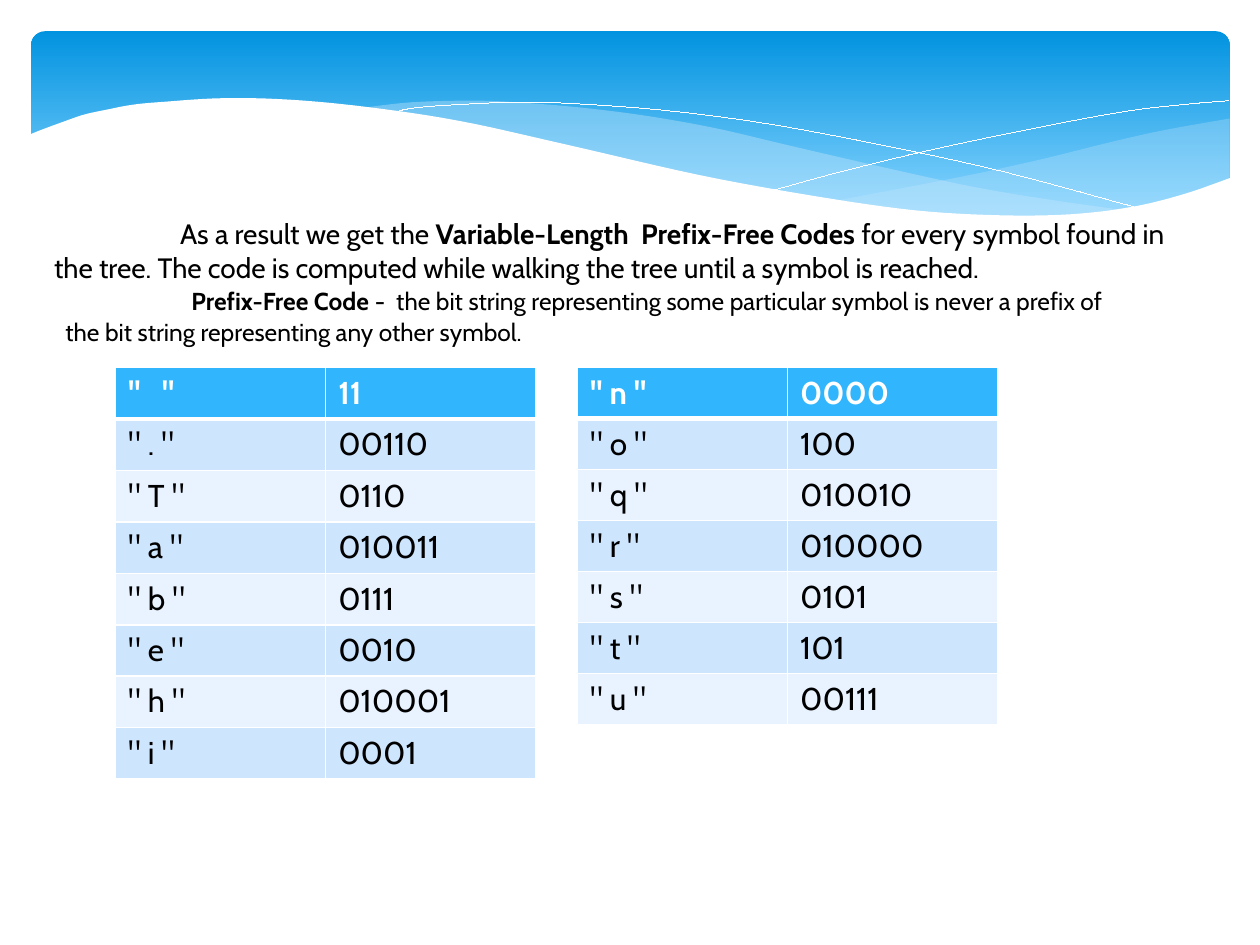
"""Build a slide on prefix-free codes with a wave banner and two code tables."""
from lxml import etree
from pptx import Presentation
from pptx.dml.color import RGBColor
from pptx.enum.shapes import MSO_SHAPE
from pptx.oxml import parse_xml
from pptx.oxml.ns import nsdecls, qn
from pptx.util import Cm, Pt

ROUND = MSO_SHAPE.ROUNDED_RECTANGLE
FONT = "Cabin"
INK = {"deep": "0293E0", "sky": "83D3FE", "mist": "C6E7FC", "white": "FFFFFF",
       "black": "000000", "head": "31B6FD", "odd": "CEE5FE", "even": "E8F3FF"}

INTRO = [
    ("\tAs a result we get the ", {}),
    ("Variable-Length  Prefix-Free Codes ", {"bold": True}),
    ("for every symbol found in the tree. The code is computed while walking "
     "the tree until a symbol is reached.", {}),
]
RULE = [
    ("\t", {"size": 18}),
    ("Prefix-Free Code ", {"size": 14, "bold": True}),
    ("-  the bit string representing some particular symbol is never a prefix "
     "of the bit string representing any other symbol.", {"size": 14}),
]
NOTES = [(0.84, 4.24, 23.06, 1.63, INTRO), (1.07, 5.51, 22.02, 1.63, RULE)]
TAB = 2.54

LEFT = [("  ", "11"), (".", "00110"), ("T", "0110"), ("a", "010011"),
        ("b", "0111"), ("e", "0010"), ("h", "010001"), ("i", "0001")]
RIGHT = [("n", "0000"), ("o", "100"), ("q", "010010"), ("r", "010000"),
         ("s", "0101"), ("t", "101"), ("u", "00111")]
TABLES = [(2.33, 8.3, LEFT), (11.64, 7.2, RIGHT)]
TOP, WIDE = 7.41, 8.47

BACK = [
    [(24.79, 2.39), (23.39, 2.64), (22.25, 2.9), (21.13, 3.18), (19.79, 3.48),
     (18.52, 3.73), (16.79, 4.06)],
    [(16.79, 4.06), (18.26, 4.24), (19.53, 4.34), (20.68, 4.37), (21.69, 4.34),
     (22.58, 4.24), (23.39, 4.06), (24.1, 3.86), (24.79, 3.58)],
]
FRONT = [
    [(22.68, 4.24), (21.26, 4.04), (19.69, 3.78), (17.93, 3.4), (15.98, 2.95),
     (14.45, 2.59), (13.06, 2.34), (11.81, 2.18), (10.67, 2.08), (9.65, 2.03),
     (8.33, 2.06), (7.26, 2.18)],
    [(7.26, 2.18), (8.69, 2.39), (10.26, 2.69), (12.47, 3.2), (14.38, 3.63),
     (16.1, 3.96), (17.65, 4.19), (19.0, 4.32), (20.22, 4.39), (21.29, 4.37),
     (22.68, 4.24)],
]
FALL = [[(7.85, 2.29), (8.33, 2.18), (9.22, 2.11), (10.57, 2.06), (11.91, 2.11),
         (13.54, 2.24), (15.44, 2.49), (17.65, 2.9), (20.19, 3.45), (23.04, 4.22)]]
RISE = [[(15.57, 3.84), (17.07, 3.43), (19.0, 2.97), (21.23, 2.51),
         (22.73, 2.24), (23.83, 2.11), (24.77, 2.03)]]
HILL = [
    [(24.82, 3.58), (23.88, 3.91), (22.83, 4.17), (21.59, 4.32), (20.14, 4.34),
     (18.44, 4.24), (16.46, 3.96), (14.1, 3.53), (11.35, 2.9), (9.27, 2.44),
     (7.42, 2.16), (5.84, 2.01), (4.5, 1.98), (3.35, 2.05), (2.69, 2.11),
     (2.16, 2.21), (1.7, 2.31), (1.32, 2.44), (0.91, 2.59), (0.58, 2.72)],
    [(0.58, 5.69), (24.82, 5.69)],
]
WAVES = [
    (BACK, {"fill": "mist", "alpha": 29}),
    (FRONT, {"fill": "mist", "alpha": 40}),
    (FALL, {"line": "white"}),
    (RISE, {"line": "white"}),
    (HILL, {"fill": "white"}),
]


def hue(name):
    return RGBColor.from_string(INK[name])


def write(para, text, size=16, bold=False, color="black"):
    run = para.add_run()
    run.text = text
    font = run.font
    font.name, font.size, font.bold = FONT, Pt(size), bold
    font.color.rgb = hue(color)


def smooth(pts, steps=6):
    if len(pts) == 2:
        return pts
    ends = [pts[0], *pts, pts[-1]]
    out = []
    for a, b, c, d in zip(ends, ends[1:], ends[2:], ends[3:]):
        for i in range(steps):
            t = i / steps
            out.append(tuple(
                q + t * (r - p + t * (2*p - 5*q + 4*r - s + t * (3*q - p - 3*r + s))) / 2
                for p, q, r, s in zip(a, b, c, d)))
    return out + [pts[-1]]


def wave(shapes, curves, fill=None, alpha=None, line=None):
    pts = [(Cm(x), Cm(y)) for part in curves for x, y in smooth(part)]
    path = shapes.build_freeform(*pts[0])
    path.add_line_segments(pts[1:], close=bool(fill))
    form = path.convert_to_shape()
    form.shadow.inherit = False
    if fill:
        form.fill.solid()
        form.fill.fore_color.rgb = hue(fill)
        form.line.fill.background()
    else:
        form.fill.background()
        form.line.color.rgb = hue(line)
        form.line.width = Pt(0.01)
    if alpha:
        tone = form.fill._xPr.find(".//" + qn("a:srgbClr"))
        etree.SubElement(tone, qn("a:alpha")).set("val", str(alpha * 1000))


def banner(shapes):
    box = shapes.add_shape(ROUND, Cm(0.63), Cm(0.63), Cm(24.16), Cm(3.96))
    box.adjustments[0] = 0.07
    box.shadow.inherit = False
    box.line.fill.background()
    box.fill.gradient()
    box.fill.gradient_angle = 270
    for stop, tone, spot in zip(box.fill.gradient_stops, ("deep", "sky"), (0, 0.9)):
        stop.color.rgb = hue(tone)
        stop.position = spot


def note(shapes, x, y, w, h, runs):
    box = shapes.add_textbox(Cm(x), Cm(y), Cm(w), Cm(h))
    box.text_frame.word_wrap = True
    para = box.text_frame.paragraphs[0]
    para._p.get_or_add_pPr().append(parse_xml(
        f'<a:tabLst {nsdecls("a")}><a:tab pos="{Cm(TAB)}" algn="l"/></a:tabLst>'))
    for text, look in runs:
        write(para, text, **look)


def edge(cell, row):
    wide = {"T": 3 if row == 1 else 1, "B": 3 if row == 0 else 1}
    props = cell._tc.get_or_add_tcPr()
    for i, side in enumerate("LRTB"):
        props.insert(i, parse_xml(
            f'<a:ln{side} {nsdecls("a")} w="{Pt(wide.get(side, 1))}"><a:solidFill>'
            f'<a:srgbClr val="{INK["white"]}"/></a:solidFill></a:ln{side}>'))


def grid(shapes, x, high, codes):
    rows = len(codes)
    table = shapes.add_table(rows, 2, Cm(x), Cm(TOP), Cm(WIDE), Cm(high)).table
    table.first_row = table.horz_banding = False
    for r, (sign, code) in enumerate(codes):
        for c, text in enumerate((f'" {sign} "' if sign.strip() else '"   "', code)):
            cell = table.cell(r, c)
            cell.fill.solid()
            cell.fill.fore_color.rgb = hue(("even", "odd")[r % 2] if r else "head")
            edge(cell, r)
            write(cell.text_frame.paragraphs[0], text, size=18, bold=r == 0,
                  color="black" if r else "white")


def main():
    deck = Presentation()
    deck.slide_width, deck.slide_height = Cm(25.4), Cm(19.05)
    shapes = deck.slides.add_slide(deck.slide_layouts[6]).shapes
    banner(shapes)
    for curves, look in WAVES:
        wave(shapes, curves, **look)
    for item in NOTES:
        note(shapes, *item)
    for item in TABLES:
        grid(shapes, *item)
    deck.save("out.pptx")


if __name__ == "__main__":
    main()
